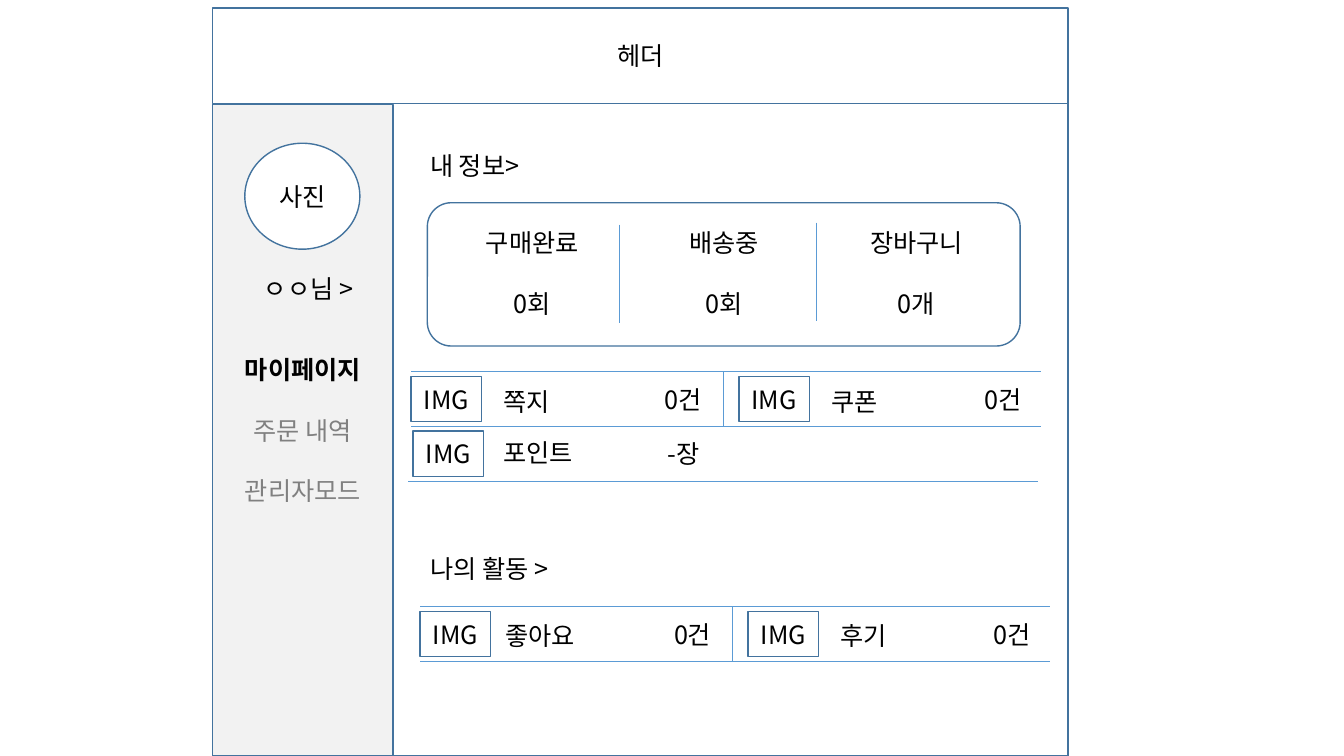
from pptx import Presentation
from pptx.dml.color import RGBColor
from pptx.enum.shapes import MSO_CONNECTOR, MSO_SHAPE
from pptx.enum.text import MSO_ANCHOR, PP_ALIGN
from pptx.oxml.ns import qn
from pptx.util import Cm, Pt
from lxml import etree

RECT = MSO_SHAPE.RECTANGLE
OVAL = MSO_SHAPE.OVAL
ROUNDED = MSO_SHAPE.ROUNDED_RECTANGLE
STRAIGHT = MSO_CONNECTOR.STRAIGHT
MIDDLE = MSO_ANCHOR.MIDDLE
CENTER = PP_ALIGN.CENTER
LEFT = PP_ALIGN.LEFT

COLORS = {
    "paper": "FFFFFF",
    "panel": "F2F2F2",
    "outline": "43739E",
    "rule": "5B9BD5",
    "ink": "000000",
    "muted": "808080",
}
FONT = "Noto Sans CJK KR"
LINE_HEIGHT = Pt(21.6)


def color(name):
    return RGBColor.from_string(COLORS[name])


def write(frame, lines, align=CENTER):
    for index, (text, ink, bold) in enumerate(lines):
        para = frame.add_paragraph() if index else frame.paragraphs[0]
        para.alignment = align
        para.line_spacing = LINE_HEIGHT
        if index:
            para.space_before = LINE_HEIGHT
        span = para.add_run()
        span.text = text
        span.font.size = Pt(18)
        span.font.bold = bold
        span.font.name = FONT
        span.font.color.rgb = color(ink)
        east_asian = etree.SubElement(span.font._element, qn("a:ea"))
        east_asian.set("typeface", FONT)


def plain(*texts):
    return [(text, "ink", False) for text in texts]


def add_block(page, box, lines=(), kind=RECT, fill="paper", outlined=True):
    block = page.shapes.add_shape(kind, *map(Cm, box))
    block.shadow.inherit = False
    block.fill.solid()
    block.fill.fore_color.rgb = color(fill)
    if outlined:
        block.line.color.rgb = color("outline")
        block.line.width = Pt(1)
    else:
        block.line.fill.background()
    block.text_frame.word_wrap = False
    block.text_frame.vertical_anchor = MIDDLE
    write(block.text_frame, lines)


def add_rule(page, x, y, width=0, height=0):
    rule = page.shapes.add_connector(
        STRAIGHT, Cm(x), Cm(y), Cm(x + width), Cm(y + height))
    rule.line.color.rgb = color("rule")
    rule.line.width = Pt(0.5)
    etree.SubElement(rule._element.spPr, qn("a:effectLst"))


def add_caption(page, box, text):
    caption = page.shapes.add_textbox(*map(Cm, box))
    caption.text_frame.word_wrap = True
    write(caption.text_frame, plain(text), LEFT)


def add_sidebar(page, box):
    x, y, width, height = box
    menu = [("마이페이지", "ink", True),
            ("주문 내역", "muted", False),
            ("관리자모드", "muted", False)]
    add_block(page, box, menu, fill="panel")
    add_block(page, (x + 0.81, y + 0.97, 2.9, 2.67), plain("사진"), OVAL)
    add_caption(page, (x + 1.04, y + 4.12, 3.12, 1.02), "ㅇㅇ님 >")


def add_summary(page, box, counters):
    x, y, width, height = box
    add_block(page, box, kind=ROUNDED)
    for index, counter in enumerate(counters):
        add_block(page, (x + 0.46 + 4.84 * index, y + 0.27, 4.37, 3),
                  plain(*counter), outlined=False)
    for index in range(len(counters) - 1):
        add_rule(page, x + 4.83 + 4.97 * index, y + 0.55 - 0.05 * index,
                 height=2.47)


def add_entry(page, x, y, value_x, entry):
    label, value, icon_shift, label_x, label_y, label_width = entry
    add_block(page, (x + value_x, y + 0.1, 1.63, 1.17), plain(value),
              outlined=False)
    add_block(page, (x + label_x, y + label_y, label_width, 1.17),
              plain(label), outlined=False)
    add_block(page, (x + icon_shift, y + 0.12, 1.78, 1.14), plain("IMG"))


def add_listing(page, box, rows, foot_shift=0):
    x, y, width, height = box
    row_height = height / len(rows)
    for index, row in enumerate(rows):
        top = y + index * row_height
        for entry, (offset, value_x) in zip(row, [(0, 6.05), (8.26, 5.84)]):
            add_entry(page, x + offset, top, value_x, entry)
        add_rule(page, x, top, width)
        if len(row) > 1:
            add_rule(page, x + 7.87, top, height=row_height)
    add_rule(page, x + foot_shift, y + height, width)


def add_my_page(page, box):
    x, y, width, height = box
    add_block(page, box)
    add_block(page, (x - 0.02, y - 0.03, 21.56, 2.41), plain("헤더"))
    add_sidebar(page, (x - 0.02, y + 2.41, 4.55, 16.41))
    add_caption(page, (x + 5.21, y + 3.43, 3.12, 1.02), "내 정보>")
    add_summary(page, (x + 5.39, y + 4.88, 14.94, 3.61),
                [("구매완료", "0회"), ("배송중", "0회"), ("장바구니", "0개")])
    add_listing(page, (x + 4.98, y + 9.14, 15.88, 2.75),
                [[("쪽지", "0건", 0, 1.8, 0.15, 2.21),
                  ("쿠폰", "0건", 0, 1.91, 0.15, 2.01)],
                 [("포인트", "-장", 0.05, 1.91, 0.08, 2.59)]],
                foot_shift=-0.07)
    add_caption(page, (x + 5.21, y + 13.59, 3.99, 1.02), "나의 활동 >")
    add_listing(page, (x + 5.21, y + 15.06, 15.88, 1.37),
                [[("좋아요", "0건", 0, 1.8, 0.13, 2.44),
                  ("후기", "0건", 0, 1.91, 0.13, 2.01)]])


deck = Presentation()
deck.slide_width = Cm(33.87)
deck.slide_height = Cm(19.05)
my_page = deck.slides.add_slide(deck.slide_layouts[6])
add_my_page(my_page, (5.38, 0.23, 21.54, 18.82))
deck.save("out.pptx")
